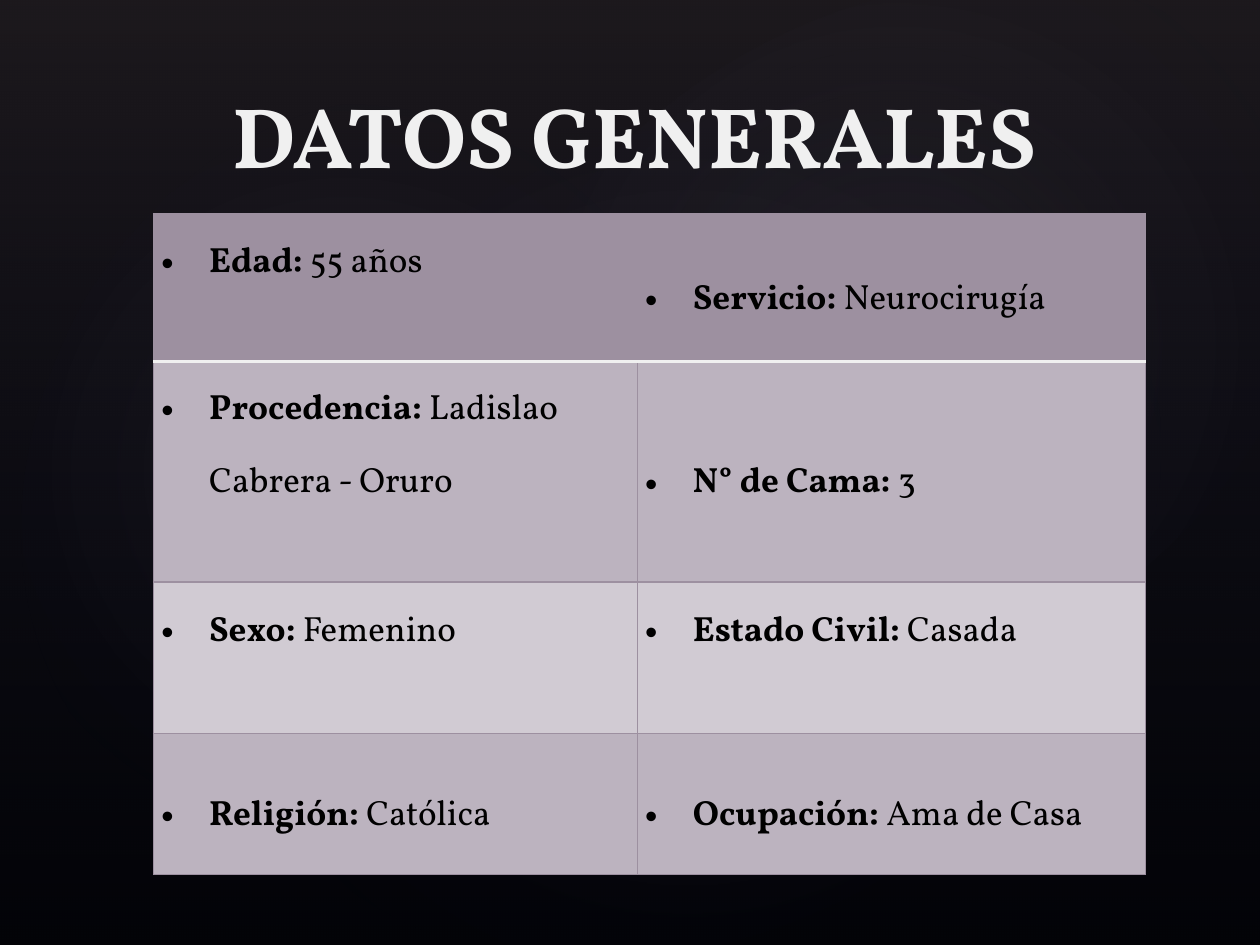
import pptx
import pptx.dml.color
import pptx.enum.shapes
import pptx.enum.text
import pptx.oxml
import pptx.oxml.ns
import pptx.util

Inches = pptx.util.Inches
Pt = pptx.util.Pt
ANCHOR = pptx.enum.text.MSO_ANCHOR
SHAPES = pptx.enum.shapes.MSO_SHAPE

COLORS = {
    "night": "000000", "plum": "504652", "navy": "242852", "glow": "C4BCC6",
    "text": "000000", "light": "F0F0F0", "mauve": "9D90A0",
    "band": "BCB3BF", "pale": "D1CBD3",
}
FONT = "Vollkorn"
SLIDE = (10, 7.5)
TITLE = "DATOS GENERALES"
TITLE_AREA = (0.91, 0.52, 8.25, 1)
TABLE_ORIGIN = (1.22, 1.7)
COLUMNS = (3.84, 4.03)
ROWS = [
    {"height": 1.17, "fill": "mauve", "spacing": 1.5, "top": 0, "anchors": ("TOP", "MIDDLE"),
     "cells": [("Edad: ", "55 años"), ("Servicio: ", "Neurocirugía")]},
    {"height": 1.75, "fill": "band", "spacing": 1.5, "top": 0, "anchors": ("TOP", "MIDDLE"),
     "cells": [("Procedencia: ", "Ladislao Cabrera - Oruro"), ("N° de Cama: ", "3")]},
    {"height": 1.2, "fill": "pale", "spacing": 1.15, "top": 0.15, "anchors": ("TOP", "TOP"),
     "cells": [("Sexo: ", "Femenino"), ("Estado Civil: ", "Casada")]},
    {"height": 1.12, "fill": "band", "spacing": 1.5, "top": 0, "anchors": ("MIDDLE", "MIDDLE"),
     "cells": [("Religión: ", "Católica"), ("Ocupación: ", "Ama de Casa")]},
]
LINEAR = '<a:lin ang="5400000" scaled="0"/>'
RADIAL = '<a:path path="circle"><a:fillToRect l="50000" t="50000" r="50000" b="50000"/></a:path>'
BACKDROP = [
    (SHAPES.RECTANGLE, (0, 0, *SLIDE), 0, [(0, "plum", 36), (100, "navy", 10)], LINEAR),
] + [
    (SHAPES.OVAL, area, turn, [(0, "glow", strength), (58, "navy", 0)], RADIAL)
    for area, turn, strength in [
        ((1.5, 1.14, 7.92, 6.24), 328.7, 7),
        ((-0.3, 1.28, 6.06, 4.9), 294.3, 8),
        ((3.58, 0.13, 7.09, 5.2), 328.7, 8),
    ]
]


def rgb(name):
    return pptx.dml.color.RGBColor.from_string(COLORS[name])


def element(markup):
    head, rest = markup.split(">", 1) if not markup.endswith("/>") else (markup[:-2], "/>")
    joint = "" if rest == "/>" else ">"
    return pptx.oxml.parse_xml(f'{head} {pptx.oxml.ns.nsdecls("a")}{joint}{rest}')


def set_all(target, values):
    for name, value in values.items():
        setattr(target, name, value)


def add_span(para, text, size, color, bold):
    span = para.add_run()
    span.text = text
    set_all(span.font, {"name": FONT, "size": Pt(size), "bold": bold})
    span.font.color.rgb = rgb(color)


def add_backdrop(page, kind, area, turn, stops, direction):
    shape = page.shapes.add_shape(kind, *map(Inches, area))
    shape.rotation = turn
    shape.shadow.inherit = False
    shape.line.fill.background()
    shape.fill.background()
    marks = "".join(
        f'<a:gs pos="{place * 1000}"><a:srgbClr val="{COLORS[color]}">'
        f'<a:alpha val="{alpha * 1000}"/></a:srgbClr></a:gs>'
        for place, color, alpha in stops)
    properties = shape.element.spPr
    blank = properties.find(pptx.oxml.ns.qn("a:noFill"))
    properties.replace(blank, element(
        f'<a:gradFill rotWithShape="1"><a:gsLst>{marks}</a:gsLst>{direction}</a:gradFill>'))


def add_title(page):
    box = page.shapes.add_textbox(*map(Inches, TITLE_AREA))
    set_all(box.text_frame, {"word_wrap": True, "vertical_anchor": ANCHOR.BOTTOM})
    para = box.text_frame.paragraphs[0]
    para.alignment = pptx.enum.text.PP_ALIGN.CENTER
    add_span(para, TITLE, 49, "light", True)


def fill_cell(cell, row, record, anchor, label, value):
    set_all(cell, {
        "margin_left": Inches(0.06), "margin_right": Inches(0.06),
        "margin_top": Inches(record["top"]), "margin_bottom": 0,
        "vertical_anchor": ANCHOR[anchor],
    })
    properties = cell._tc.get_or_add_tcPr()
    for side in "LRTB":
        under_header = (row, side) in ((0, "B"), (1, "T"))
        color, width = ("light", 1.5) if under_header else ("mauve", 1)
        properties.append(element(
            f'<a:ln{side} w="{Pt(width)}"><a:solidFill>'
            f'<a:srgbClr val="{COLORS[color]}"/></a:solidFill></a:ln{side}>'))
    cell.fill.solid()
    cell.fill.fore_color.rgb = rgb(record["fill"])

    para = cell.text_frame.paragraphs[0]
    layout = para._p.get_or_add_pPr()
    layout.set("marL", str(Inches(0.38)))
    layout.set("indent", str(-Inches(0.38)))
    layout.append(element('<a:buFont typeface="Arial"/>'))
    layout.append(element('<a:buChar char="•"/>'))
    para.line_spacing = record["spacing"]
    add_span(para, label, 20, "text", True)
    add_span(para, value, 20, "text", False)


def add_table(page):
    heights = [record["height"] for record in ROWS]
    size = (sum(COLUMNS), sum(heights))
    table = page.shapes.add_table(
        len(ROWS), len(COLUMNS), *map(Inches, TABLE_ORIGIN + size)).table
    set_all(table, {"first_row": False, "horz_banding": False})
    for column, width in zip(table.columns, COLUMNS):
        column.width = Inches(width)
    for row, record in enumerate(ROWS):
        table.rows[row].height = Inches(record["height"])
        for column, (label, value) in enumerate(record["cells"]):
            fill_cell(table.cell(row, column), row, record,
                      record["anchors"][column], label, value)


def main():
    deck = pptx.Presentation()
    set_all(deck, {"slide_width": Inches(SLIDE[0]), "slide_height": Inches(SLIDE[1])})
    page = deck.slides.add_slide(deck.slide_layouts[6])
    page.background.fill.solid()
    page.background.fill.fore_color.rgb = rgb("night")
    for layer in BACKDROP:
        add_backdrop(page, *layer)
    add_title(page)
    add_table(page)
    deck.save("out.pptx")


if __name__ == "__main__":
    main()
